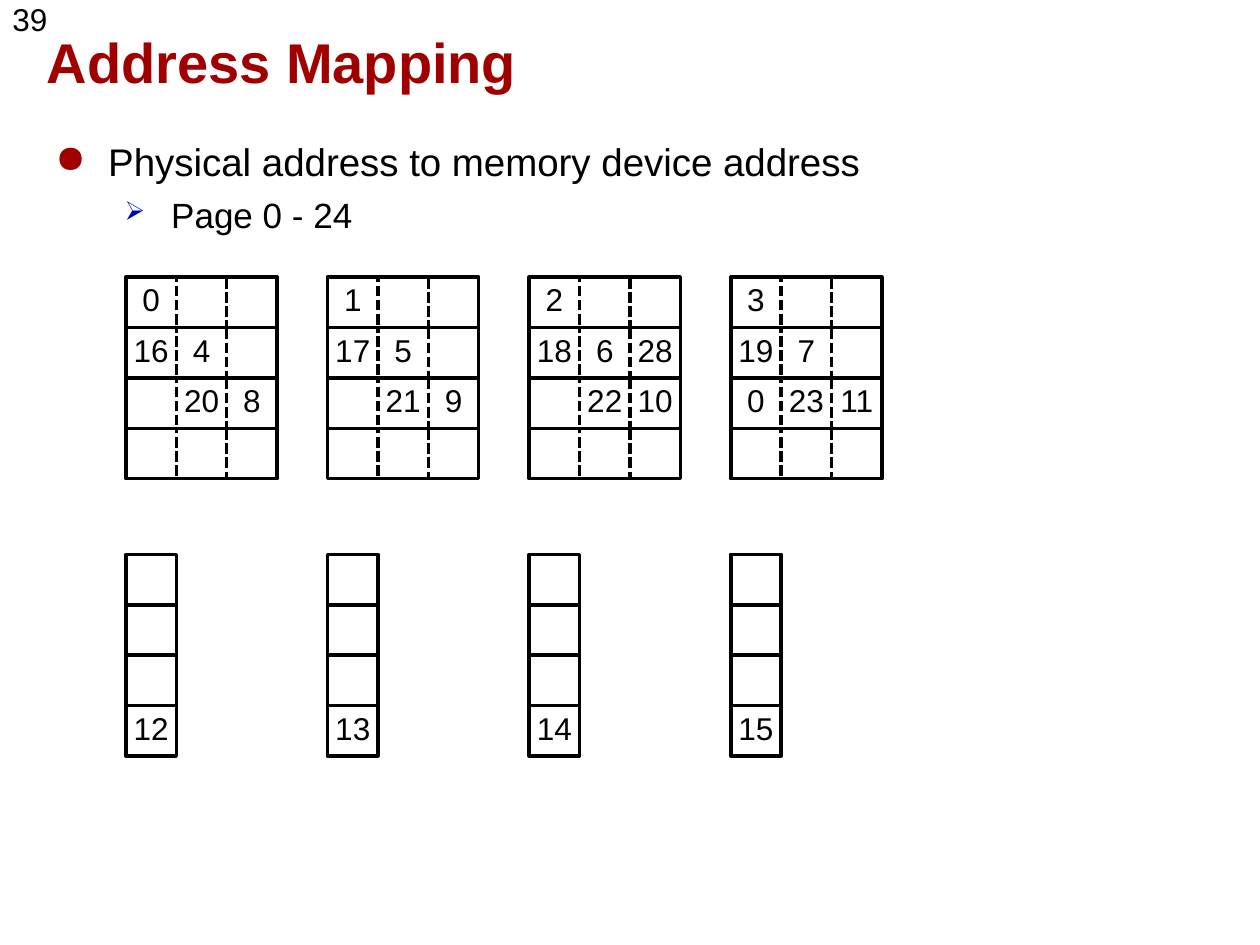
from lxml import etree
from pptx import Presentation
from pptx.dml.color import RGBColor
from pptx.enum.dml import MSO_LINE
from pptx.enum.shapes import MSO_SHAPE
from pptx.enum.text import MSO_ANCHOR, PP_ALIGN
from pptx.oxml.ns import qn
from pptx.util import Inches, Pt

RECTANGLE = MSO_SHAPE.RECTANGLE
DASHED = MSO_LINE.SQUARE_DOT
SOLID = MSO_LINE.SOLID
MIDDLE = MSO_ANCHOR.MIDDLE
TOP = MSO_ANCHOR.TOP
CENTER = PP_ALIGN.CENTER
LEFT = PP_ALIGN.LEFT

COLORS = {"text": "000000", "title": "A00000", "arrow": "0000C4", "shadow": "B2B2B2"}
FONT = "Arial"
UNIT = 0.4
BANK_STEP = 4
FIRST_COLUMN = 2.5
WIDE_TOP = 5.5
NARROW_TOP = 11

WIDE_BANKS = [
    [("0", "", ""), ("16", "4", ""), ("", "20", "8"), ("", "", "")],
    [("1", "", ""), ("17", "5", ""), ("", "21", "9"), ("", "", "")],
    [("2", "", ""), ("18", "6", "28"), ("", "22", "10"), ("", "", "")],
    [("3", "", ""), ("19", "7", ""), ("0", "23", "11"), ("", "", "")],
]
NARROW_BANKS = [["", "", "", page] for page in ("12", "13", "14", "15")]


def write_text(paragraph, text, size=18, color="text", bold=False, align=LEFT,
               line_spacing=None, space_before=0):
    paragraph.alignment = align
    paragraph.space_before = Pt(space_before)
    if line_spacing:
        paragraph.line_spacing = line_spacing
    run = paragraph.add_run()
    run.text = text
    run.font.name = FONT
    run.font.size = Pt(size)
    run.font.bold = bold
    run.font.color.rgb = RGBColor.from_string(COLORS[color])
    return run


def add_bullet(paragraph, character, color, margin, hanging, percent=100):
    properties = paragraph._p.get_or_add_pPr()
    properties.set("marL", str(Inches(margin)))
    properties.set("indent", str(-Inches(hanging)))
    bullet_color = etree.SubElement(properties, qn("a:buClr"))
    etree.SubElement(bullet_color, qn("a:srgbClr"), val=COLORS[color])
    etree.SubElement(properties, qn("a:buSzPct"), val=str(percent * 1000))
    etree.SubElement(properties, qn("a:buChar"), char=character)


def add_text_shadow(run):
    effects = etree.Element(qn("a:effectLst"))
    shadow = etree.SubElement(effects, qn("a:outerShdw"), dist="38100", dir="2700000")
    etree.SubElement(shadow, qn("a:srgbClr"), val=COLORS["shadow"])
    run._r.get_or_add_rPr().find(qn("a:solidFill")).addnext(effects)


class SlideBuilder:
    def __init__(self, slide, width, height):
        self.slide = slide
        self.width = width
        self.height = height

    def text_box(self, left, top, width, height, inset=(0.1, 0.05), anchor=TOP):
        shape = self.slide.shapes.add_textbox(
            int(left * self.width), int(top * self.height),
            int(width * self.width), int(height * self.height))
        self.set_frame(shape.text_frame, inset, anchor)
        return shape.text_frame

    def set_frame(self, frame, inset, anchor):
        frame.word_wrap = True
        frame.vertical_anchor = anchor
        frame.margin_left = frame.margin_right = Inches(inset[0])
        frame.margin_top = frame.margin_bottom = Inches(inset[1])

    def cell(self, group, column, row, text="", columns=1, dash=None):
        area = [Inches(value * UNIT) for value in (column, row, columns, 1)]
        if dash is None:
            shape = group.shapes.add_textbox(*area)
        else:
            shape = group.shapes.add_shape(RECTANGLE, *area)
            shape.shadow.inherit = False
            shape.fill.background()
            shape.line.color.rgb = RGBColor.from_string(COLORS["text"])
            shape.line.width = Pt(2)
            shape.line.dash_style = dash
        if text:
            self.set_frame(shape.text_frame, (0, 0), MIDDLE)
            write_text(shape.text_frame.paragraphs[0], text, align=CENTER,
                       line_spacing=0.85)

    def wide_bank(self, column, top, rows):
        group = self.slide.shapes.add_group_shape()
        for row, (first, second, third) in enumerate(rows, start=0):
            if first:
                self.cell(group, column, top + row, first)
            self.cell(group, column + 1, top + row, second, dash=DASHED)
            if third:
                self.cell(group, column + 2, top + row, third)
            self.cell(group, column, top + row, columns=3, dash=SOLID)

    def narrow_bank(self, column, top, rows):
        group = self.slide.shapes.add_group_shape()
        for row, text in enumerate(rows):
            self.cell(group, column, top + row, text, dash=SOLID)


def main():
    presentation = Presentation()
    presentation.slide_width = Inches(10)
    presentation.slide_height = Inches(7.5)
    slide = presentation.slides.add_slide(presentation.slide_layouts[6])
    builder = SlideBuilder(slide, presentation.slide_width, presentation.slide_height)

    number = builder.text_box(0, 0, 0.06, 0.05)
    write_text(number.paragraphs[0], "39", line_spacing=0.85)

    title = builder.text_box(0.037, 0.02, 0.93, 0.1, inset=(0, 0), anchor=MIDDLE)
    add_text_shadow(write_text(title.paragraphs[0], "Address Mapping", size=32,
                               color="title", bold=True, line_spacing=0.87))

    for index, (wide, narrow) in enumerate(zip(WIDE_BANKS, NARROW_BANKS)):
        column = FIRST_COLUMN + index * BANK_STEP
        builder.wide_bank(column, WIDE_TOP, wide)
        builder.narrow_bank(column, NARROW_TOP, narrow)

    body = builder.text_box(0.034, 0.14, 0.925, 0.84)
    topic = body.paragraphs[0]
    write_text(topic, "Physical address to memory device address", size=22,
               space_before=12)
    add_bullet(topic, "●", "title", margin=0.42, hanging=0.42)
    detail = body.add_paragraph()
    detail.level = 1
    write_text(detail, "Page 0 - 24", size=20, space_before=5)
    add_bullet(detail, "➢", "arrow", margin=0.92, hanging=0.37, percent=75)

    presentation.save("out.pptx")


if __name__ == "__main__":
    main()
